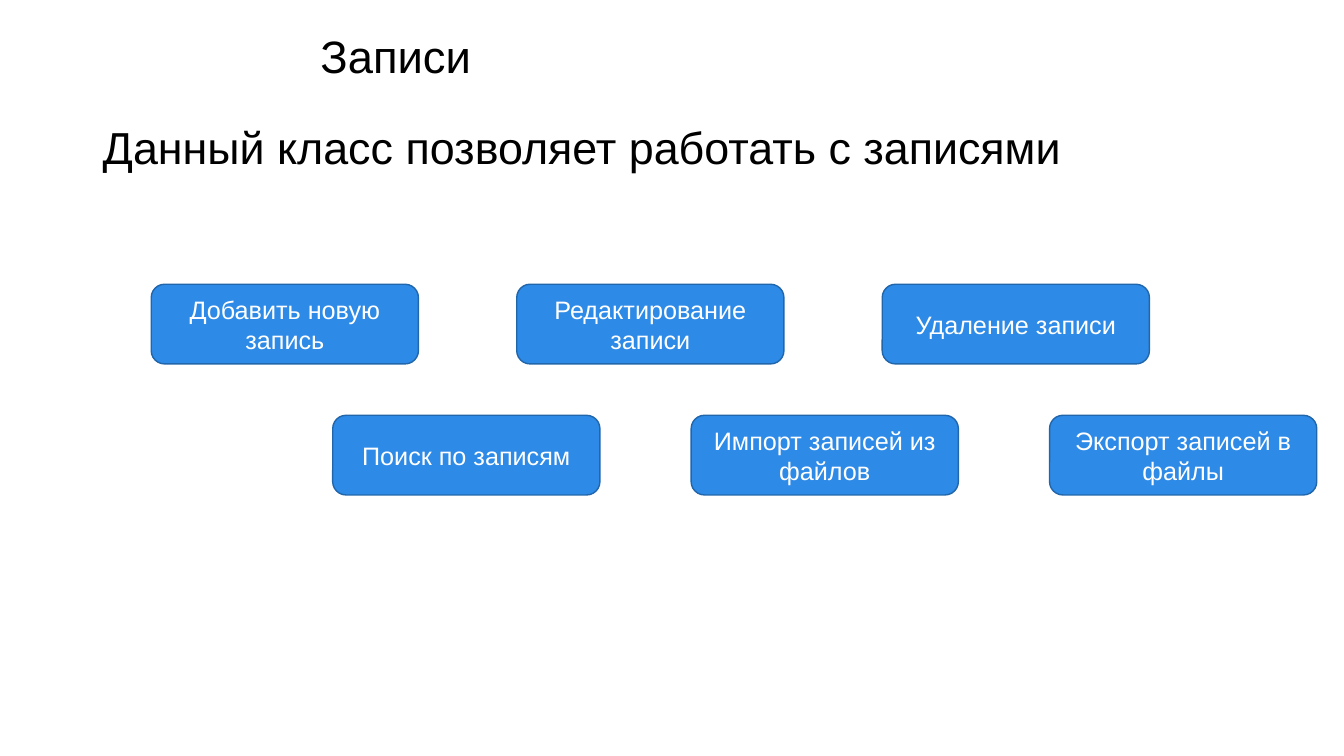
from dataclasses import dataclass

from pptx import Presentation
from pptx.dml.color import RGBColor
from pptx.enum.shapes import MSO_SHAPE
from pptx.enum.text import MSO_ANCHOR, PP_ALIGN
from pptx.util import Inches, Pt


@dataclass(frozen=True)
class Theme:
    font: str = "Arial"
    ink: RGBColor = RGBColor(0x00, 0x00, 0x00)
    white: RGBColor = RGBColor(0xFF, 0xFF, 0xFF)
    fill: RGBColor = RGBColor(0x2D, 0x8A, 0xE7)
    edge: RGBColor = RGBColor(0x21, 0x66, 0xAB)
    title: Pt = Pt(32.4)
    body: Pt = Pt(32)
    label: Pt = Pt(18)


THEME = Theme()
CARD_WIDTH, CARD_HEIGHT = 2.65, 0.79

# Left edge, top edge, step between cards, labels
ROWS = [
    (1.5, 2.82, 3.625,
     ["Добавить новую запись", "Редактирование записи", "Удаление записи"]),
    (3.3, 4.12, 3.555,
     ["Поиск по записям", "Импорт записей из файлов", "Экспорт записей в файлы"]),
]


def write(shape, text, size, color, align, anchor):
    frame = shape.text_frame
    frame.word_wrap = True
    frame.vertical_anchor = anchor
    frame.text = text
    para = frame.paragraphs[0]
    para.alignment = align
    font = para.runs[0].font
    font.name, font.size = THEME.font, size
    font.color.rgb = color
    return para


def add_text(slide, text, box, size, anchor):
    shape = slide.shapes.add_textbox(*map(Inches, box))
    return write(shape, text, size, THEME.ink, PP_ALIGN.LEFT, anchor)


def add_card(slide, text, left, top):
    box = (left, top, CARD_WIDTH, CARD_HEIGHT)
    card = slide.shapes.add_shape(MSO_SHAPE.ROUNDED_RECTANGLE, *map(Inches, box))
    card.shadow.inherit = False
    card.fill.solid()
    card.fill.fore_color.rgb = THEME.fill
    card.line.color.rgb = THEME.edge
    card.line.width = Pt(1)
    write(card, text, THEME.label, THEME.white, PP_ALIGN.CENTER, MSO_ANCHOR.MIDDLE)


def add_row(slide, left, top, step, labels):
    for i, label in enumerate(labels):
        add_card(slide, label, left + i * step, top)


def main():
    deck = Presentation()
    deck.slide_width, deck.slide_height = Inches(13.33), Inches(7.5)
    slide = deck.slides.add_slide(deck.slide_layouts[6])

    add_text(slide, "Записи", (3.08, 0.23, 10, 0.64), THEME.title, MSO_ANCHOR.MIDDLE)
    intro = add_text(slide, "Данный класс позволяет работать с записями",
                     (0.92, 1.14, 11.49, 2.21), THEME.body, MSO_ANCHOR.TOP)
    intro.space_before = Pt(6.4)
    for row in ROWS:
        add_row(slide, *row)

    deck.save("out.pptx")


if __name__ == "__main__":
    main()
